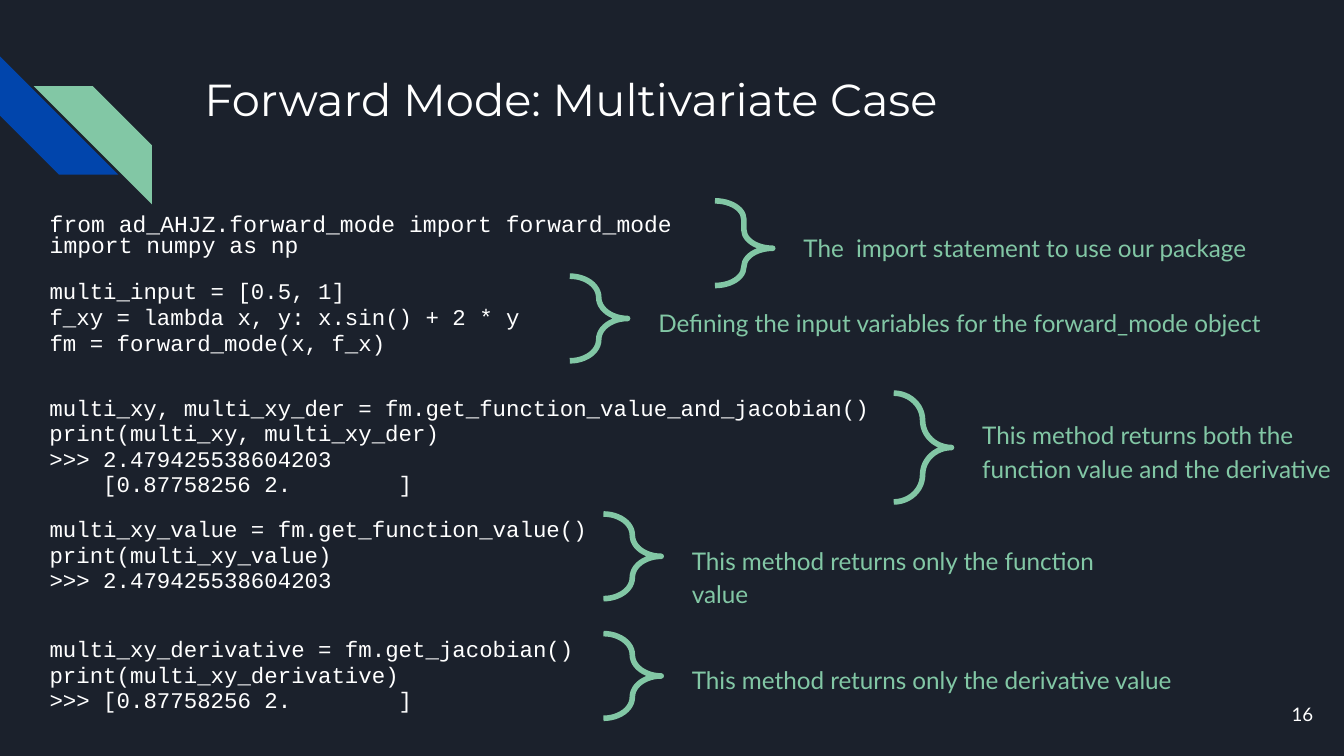
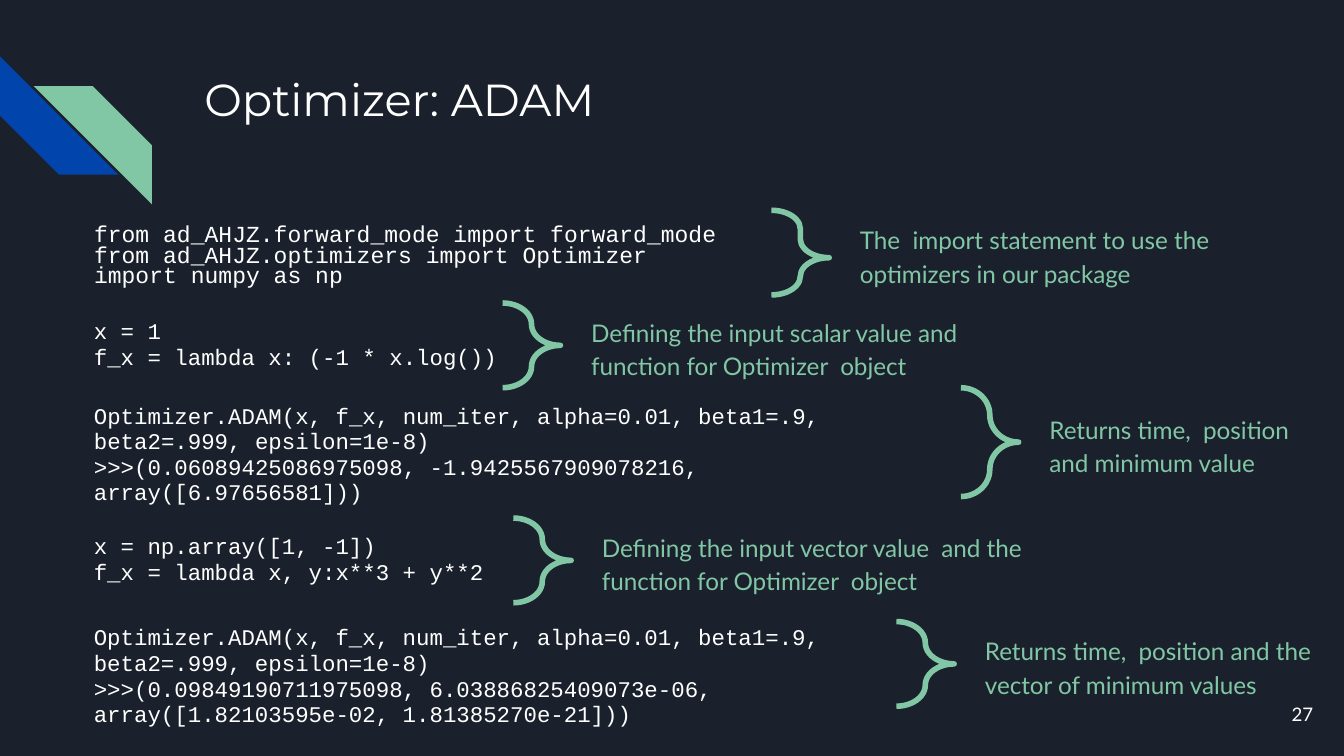
import dataclasses

import lxml.etree
import pptx
import pptx.dml.color
import pptx.enum.shapes
import pptx.enum.text
import pptx.util
from pptx.util import Inches

COLORS = {"night": "1B212C", "blue": "0145AC", "mint": "82C7A5", "white": "FFFFFF"}
FONTS = {"title": "Montserrat", "note": "Lato", "code": "Courier New"}
NOTE_OFFSET = 0.56  # from the left of a brace to the left of its note
BRACE_WIDTH = 0.43
SHAPES = pptx.enum.shapes.MSO_SHAPE
ALIGN = pptx.enum.text.PP_ALIGN
ANCHOR = pptx.enum.text.MSO_ANCHOR
AUTO_SIZE = pptx.enum.text.MSO_AUTO_SIZE


@dataclasses.dataclass
class Step:
    """One row: code, a brace and a note, all centred on one height."""
    middle: float
    code: list
    code_width: float
    code_height: float
    brace_left: float
    note: list
    note_width: float
    note_height: float = 0.67
    brace_height: float = 0.63
    code_drop: float = 0


def rgb(name):
    return pptx.dml.color.RGBColor.from_string(COLORS[name])


def place(shape, box):
    shape.left, shape.top, shape.width, shape.height = map(Inches, box)


def write(shape, lines, *, font, size, color="white", spacing=1.0,
          align=ALIGN.LEFT, anchor=ANCHOR.TOP, grow=False):
    frame = shape.text_frame
    frame.word_wrap = True
    frame.auto_size = AUTO_SIZE.SHAPE_TO_FIT_TEXT if grow else AUTO_SIZE.NONE
    frame.vertical_anchor = anchor
    frame.margin_left = frame.margin_right = Inches(0.1)
    frame.margin_top = frame.margin_bottom = Inches(0.1)
    for index, line in enumerate(lines):
        para = frame.add_paragraph() if index else frame.paragraphs[0]
        para.alignment = align
        para.line_spacing = spacing
        para.space_before = para.space_after = pptx.util.Pt(0)
        span = para.add_run()
        span.text = line
        span.font.name = FONTS[font]
        span.font.size = pptx.util.Pt(size)
        span.font.color.rgb = rgb(color)


def remove_bullets(shape):
    for para in shape.text_frame.paragraphs:
        properties = para._p.get_or_add_pPr()
        properties.set("marL", "0")
        properties.set("indent", "0")
        lxml.etree.SubElement(properties, pptx.oxml.ns.qn("a:buNone"))


def add_textbox(page, box, lines, **style):
    write(page.shapes.add_textbox(*map(Inches, box)), lines, **style)


# Background and corner stripes, kept on the master
def dress_master(deck, page):
    master = deck.slide_master
    master.background.fill.solid()
    master.background.fill.fore_color.rgb = rgb("night")
    stripes = [((0, 0.42, 0.88, 0.88), "blue"), ((0.25, 0.64, 0.88, 0.88), "mint")]
    for index, (box, color) in enumerate(stripes):
        stripe = page.shapes.add_shape(SHAPES.DIAGONAL_STRIPE, *map(Inches, box))
        stripe.shadow.inherit = False
        stripe.fill.solid()
        stripe.fill.fore_color.rgb = rgb(color)
        stripe.line.fill.background()
        if color == "blue":
            stripe.rotation = 270
        else:
            stripe.element.spPr.xfrm.set("flipH", "1")
        stripe.element.nvSpPr.cNvPr.set("id", str(100 + index))
        master.shapes.element.insert(2 + index, stripe.element)


# Title and page number
def add_heading(page, title, number):
    place(page.shapes.title, (1.42, 0.43, 7.7, 1))
    write(page.shapes.title, [title], font="title", size=24)
    add_textbox(page, (9.27, 5.1, 0.6, 0.43), [number], font="note", size=10,
                align=ALIGN.RIGHT, anchor=ANCHOR.MIDDLE)


def add_brace(page, box, point):
    brace = page.shapes.add_shape(SHAPES.RIGHT_BRACE, *map(Inches, box))
    brace.shadow.inherit = False
    brace.fill.background()
    brace.line.color.rgb = rgb("mint")
    brace.line.width = pptx.util.Pt(3)
    brace.adjustments[0] = 0.5
    brace.adjustments[1] = point


# One row of code with its explanation; the imports go in the body placeholder
def add_step(page, step, left, is_import):
    code_box = (left, step.middle - step.code_height / 2 + step.code_drop,
                step.code_width, step.code_height)
    if is_import:
        body = page.placeholders[1]
        place(body, code_box)
        write(body, step.code, font="code", size=12.3, spacing=0.75)
        remove_bullets(body)
    else:
        add_textbox(page, code_box, step.code, font="code", size=12,
                    spacing=0.95, grow=True)
    add_brace(page, (step.brace_left, step.middle - step.brace_height / 2,
                     BRACE_WIDTH, step.brace_height), 0.56 if is_import else 0.5)
    add_textbox(page, (step.brace_left + NOTE_OFFSET, step.middle - step.note_height / 2,
                       step.note_width, step.note_height),
                step.note, font="note", size=13, color="mint", spacing=1.15, grow=True)


def add_code_page(page, title, number, left, steps):
    add_heading(page, title, number)
    for index, step in enumerate(steps):
        add_step(page, step, left, is_import=index == 0)


FORWARD_STEPS = [
    Step(1.81, ["from ad_AHJZ.forward_mode import forward_mode", "import numpy as np"],
         8.25, 0.6, 5.32, ["The  import statement to use our package"], 4.36, 0.42),
    Step(2.37, ["multi_input = [0.5, 1]", "f_xy = lambda x, y: x.sin() + 2 * y",
                "fm = forward_mode(x, f_x)"],
         4.09, 0.78, 4.24,
         ["Defining the input variables for the forward_mode object"], 4.77, 0.42),
    Step(3.33, ["multi_xy, multi_xy_der = fm.get_function_value_and_jacobian()",
                "print(multi_xy, multi_xy_der)", ">>> 2.479425538604203",
                "    [0.87758256 2.        ]"],
         6.53, 0.97, 6.65,
         ["This method returns both the", "function value and the derivative"],
         2.97, brace_height=0.81),
    Step(4.14, ["multi_xy_value = fm.get_function_value()", "print(multi_xy_value)",
                ">>> 2.479425538604203"],
         4.98, 0.78, 4.49, ["This method returns only the function value"], 3.63, 0.42),
    Step(5.03, ["multi_xy_derivative = fm.get_jacobian()", "print(multi_xy_derivative)",
                ">>> [0.87758256 2.        ]"],
         4.98, 0.78, 4.49, ["This method returns only the derivative value"], 4.77, 0.42),
]

ADAM_CALL = ("Optimizer.ADAM(x, f_x, num_iter, alpha=0.01, beta1=.9, "
             "beta2=.999, epsilon=1e-8)")
ADAM_STEPS = [
    Step(1.88, ["from ad_AHJZ.forward_mode import forward_mode",
                "from ad_AHJZ.optimizers import Optimizer", "import numpy as np"],
         5.13, 0.6, 5.74,
         ["The  import statement to use the", "optimizers in our package"], 3.06),
    Step(2.57, ["x = 1", "f_x = lambda x: (-1 * x.log())"], 3.22, 0.59, 3.74,
         ["Defining the input scalar value and function for Optimizer  object"], 3.49),
    Step(3.29, [ADAM_CALL,
                ">>>(0.06089425086975098, -1.9425567909078216, array([6.97656581]))"],
         6.61, 0.97, 7.15, ["Returns time,  position and minimum value"], 2.28,
         brace_height=0.81, code_drop=0.1),
    Step(4.17, ["x = np.array([1, -1])", "f_x = lambda x, y:x**3 + y**2"],
         3.13, 0.59, 3.82,
         ["Defining the input vector value  and the function for Optimizer  object"], 3.63),
    Step(4.94, [ADAM_CALL, ">>>(0.09849190711975098, 6.03886825409073e-06, "
                           "array([1.82103595e-02, 1.81385270e-21]))"],
         6.2, 0.97, 6.67,
         ["Returns time,  position and the vector of minimum values"], 2.65,
         code_drop=0.1),
]


def main():
    deck = pptx.Presentation()
    deck.slide_width = Inches(10)
    deck.slide_height = deck.slide_width * 9 // 16
    layout = deck.slide_layouts[1]
    forward_page, adam_page = (deck.slides.add_slide(layout) for _ in range(2))
    dress_master(deck, forward_page)
    add_code_page(forward_page, "Forward Mode: Multivariate Case", "16", 0.27, FORWARD_STEPS)
    add_code_page(adam_page, "Optimizer: ADAM", "27", 0.6, ADAM_STEPS)
    deck.save("out.pptx")


if __name__ == "__main__":
    main()
